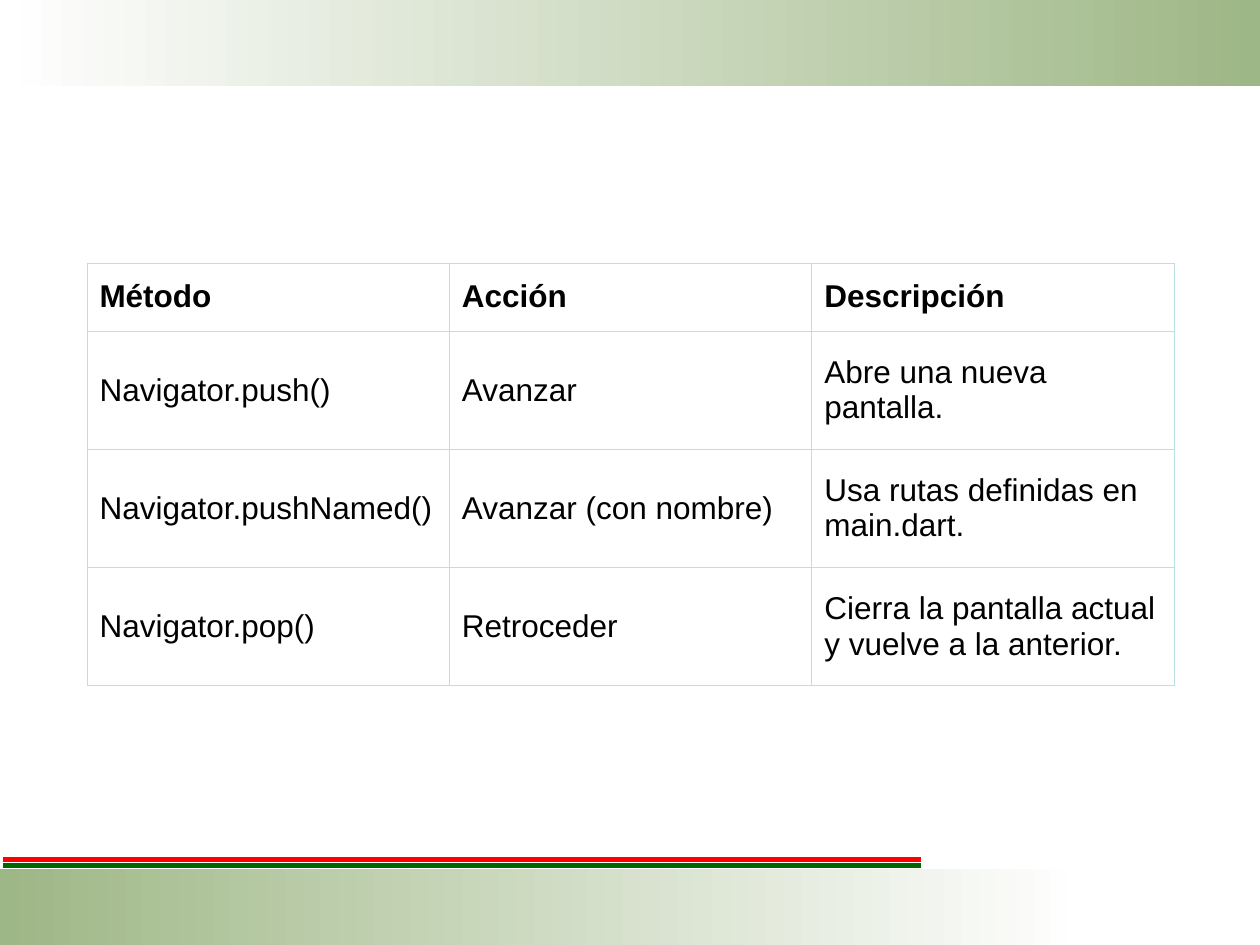
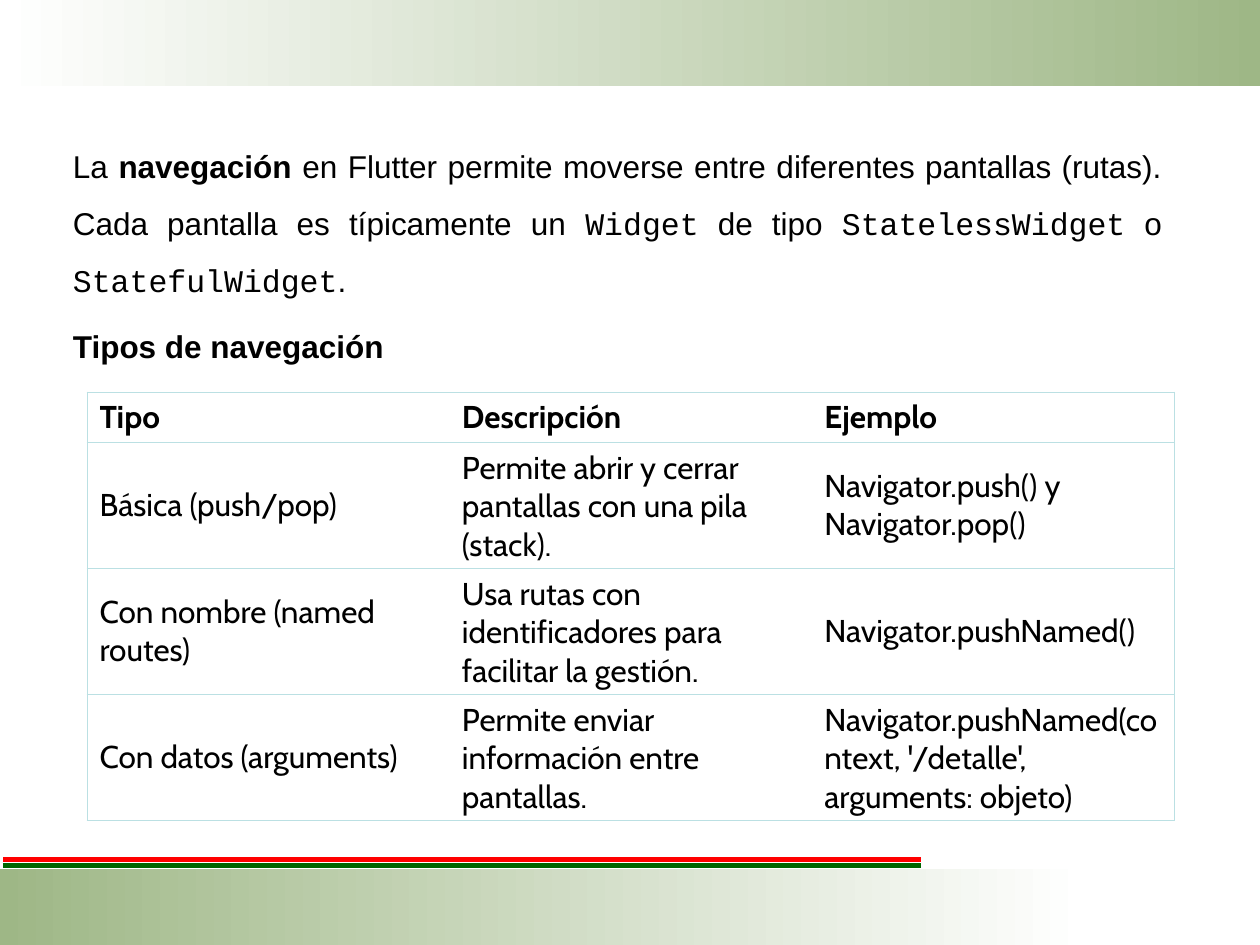
"""Builds two slides about navigation between screens, with shared bands and tables."""
import dataclasses

import pptx
import pptx.dml.color
import pptx.enum.shapes
import pptx.enum.text
import pptx.oxml
import pptx.oxml.ns
import pptx.util

Pt = pptx.util.Pt


@dataclasses.dataclass(frozen=True)
class Theme:
    white: str = "FFFFFF"
    green: str = "9EB786"
    red_rule: str = "FF0000"
    green_rule: str = "006600"
    border: str = "BBE0E3"
    ink: str = "000000"
    body_font: str = "Arial"
    code_font: str = "Courier New"
    table_font: str = "Cabin"
    text_size: float = 18
    rule_width: float = 3
    border_width: float = 0.45


def rgb(value):
    return pptx.dml.color.RGBColor.from_string(value)


class Deck:
    def __init__(self, theme):
        self.theme = theme
        self.presentation = pptx.Presentation()
        self.presentation.slide_width = Pt(720)
        self.presentation.slide_height = Pt(540)
        self.slide = None

    def new_slide(self):
        blank_layout = self.presentation.slide_layouts[6]
        self.slide = self.presentation.slides.add_slide(blank_layout)
        theme = self.theme
        self.band(0, 720, 49, theme.white, theme.green)
        self.band(496.8, 620.6, 43.2, theme.green, theme.white)
        self.rule(491, theme.red_rule)
        self.rule(494.6, theme.green_rule)

    def band(self, top, width, height, start, end):
        shape = self.slide.shapes.add_shape(
            pptx.enum.shapes.MSO_SHAPE.RECTANGLE, 0, Pt(top), Pt(width), Pt(height))
        shape.shadow.inherit = False
        shape.line.fill.background()
        shape.fill.gradient()
        shape.fill.gradient_angle = 0
        for stop, color in zip(shape.fill.gradient_stops, (start, end)):
            stop.color.rgb = rgb(color)

    def rule(self, top, color):
        connector = self.slide.shapes.add_connector(
            pptx.enum.shapes.MSO_CONNECTOR.STRAIGHT, Pt(2), Pt(top), Pt(526.4), Pt(top))
        connector.line.color.rgb = rgb(color)
        connector.line.width = Pt(self.theme.rule_width)
        properties = connector._element.spPr
        properties.append(pptx.oxml.parse_xml(
            f"<a:effectLst {pptx.oxml.ns.nsdecls('a')}/>"))

    def format_run(self, run, font_name, bold=False):
        run.font.name = font_name
        run.font.size = Pt(self.theme.text_size)
        run.font.bold = bold
        run.font.color.rgb = rgb(self.theme.ink)

    def text(self, left, top, width, height, lines, alignment=None, spacing=None):
        shape = self.slide.shapes.add_textbox(Pt(left), Pt(top), Pt(width), Pt(height))
        frame = shape.text_frame
        frame.word_wrap = True
        frame.auto_size = pptx.enum.text.MSO_AUTO_SIZE.SHAPE_TO_FIT_TEXT
        paragraph = frame.paragraphs[0]
        paragraph.alignment = alignment
        paragraph.line_spacing = spacing
        for index, line in enumerate(lines):
            if index:
                paragraph.add_line_break()
            for content, font_name, bold in line:
                run = paragraph.add_run()
                run.text = content
                self.format_run(run, font_name, bold)

    def table(self, top, heights, rows, font_name, inner_verticals):
        column_count = len(rows[0])
        column_width = 207.1
        table = self.slide.shapes.add_table(
            len(rows), column_count, Pt(49.7), Pt(top),
            Pt(column_width * column_count), Pt(sum(heights))).table
        table.first_row = False
        table.horz_banding = False
        for column in table.columns:
            column.width = Pt(column_width)
        for row_index, (height, values) in enumerate(zip(heights, rows)):
            table.rows[row_index].height = Pt(height)
            for column_index, value in enumerate(values):
                cell = table.cell(row_index, column_index)
                cell.text_frame.text = value
                cell.vertical_anchor = pptx.enum.text.MSO_ANCHOR.MIDDLE
                cell.fill.solid()
                cell.fill.fore_color.rgb = rgb(self.theme.white)
                self.format_run(cell.text_frame.paragraphs[0].runs[0],
                                font_name, row_index == 0)
                self.borders(cell,
                             inner_verticals or column_index == 0,
                             inner_verticals or column_index == column_count - 1)

    def borders(self, cell, left, right):
        properties = cell._tc.get_or_add_tcPr()
        sides = {"lnL": left, "lnR": right, "lnT": True, "lnB": True}
        for index, (side, visible) in enumerate(sides.items()):
            fill = (f'<a:solidFill><a:srgbClr val="{self.theme.border}"/></a:solidFill>'
                    if visible else "<a:noFill/>")
            properties.insert(index, pptx.oxml.parse_xml(
                f'<a:{side} {pptx.oxml.ns.nsdecls("a")} '
                f'w="{Pt(self.theme.border_width)}">{fill}</a:{side}>'))


def methods_slide(deck):
    deck.new_slide()
    rows = [
        ("Método", "Acción", "Descripción"),
        ("Navigator.push()", "Avanzar", "Abre una nueva pantalla."),
        ("Navigator.pushNamed()", "Avanzar (con nombre)",
         "Usa rutas definidas en main.dart."),
        ("Navigator.pop()", "Retroceder",
         "Cierra la pantalla actual y vuelve a la anterior."),
    ]
    deck.table(150.2, [38.9] + [67.6] * 3, rows, deck.theme.body_font, True)


def navigation_types_slide(deck):
    deck.new_slide()
    body, code = deck.theme.body_font, deck.theme.code_font
    introduction = [
        [("La ", body, False), ("navegación", body, True),
         (" en Flutter permite moverse entre diferentes pantallas (rutas).", body, False)],
        [("Cada pantalla es típicamente un ", body, False), ("Widget", code, False),
         (" de tipo ", body, False), ("StatelessWidget", code, False),
         (" o ", body, False), ("StatefulWidget", code, False), (".", body, False)],
    ]
    deck.text(34.6, 69.8, 636.5, 104.4, introduction,
              pptx.enum.text.PP_ALIGN.JUSTIFY, 1.5)
    deck.text(34.6, 183.6, 360, 28.8, [[("Tipos de navegación", body, True)]])
    rows = [
        ("Tipo", "Descripción", "Ejemplo"),
        ("Básica (push/pop)", "Permite abrir y cerrar pantallas con una pila (stack).",
         "Navigator.push() y Navigator.pop()"),
        ("Con nombre (named routes)",
         "Usa rutas con identificadores para facilitar la gestión.",
         "Navigator.pushNamed()"),
        ("Con datos (arguments)", "Permite enviar información entre pantallas.",
         "Navigator.pushNamed(context, '/detalle', arguments: objeto)"),
    ]
    deck.table(224, [28.8] + [72] * 3, rows, deck.theme.table_font, False)


def main():
    deck = Deck(Theme())
    methods_slide(deck)
    navigation_types_slide(deck)
    deck.presentation.save("out.pptx")


if __name__ == "__main__":
    main()
